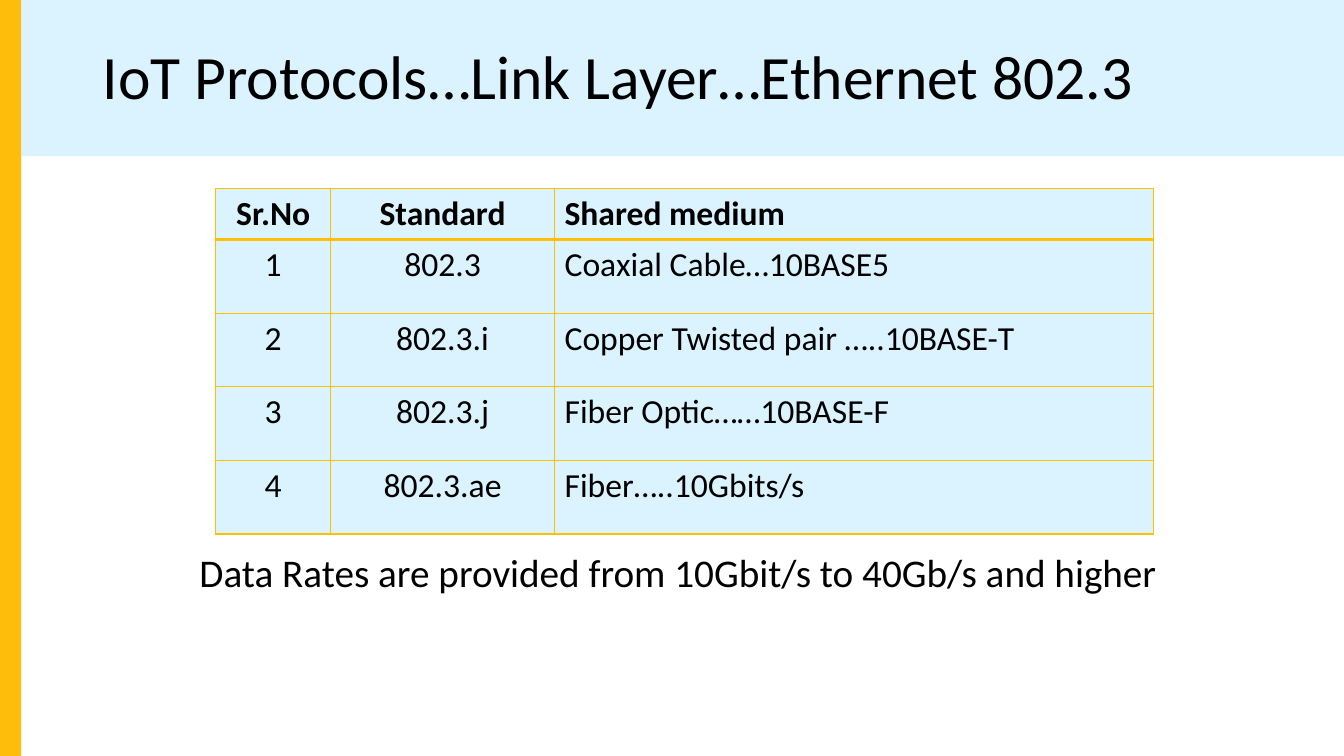
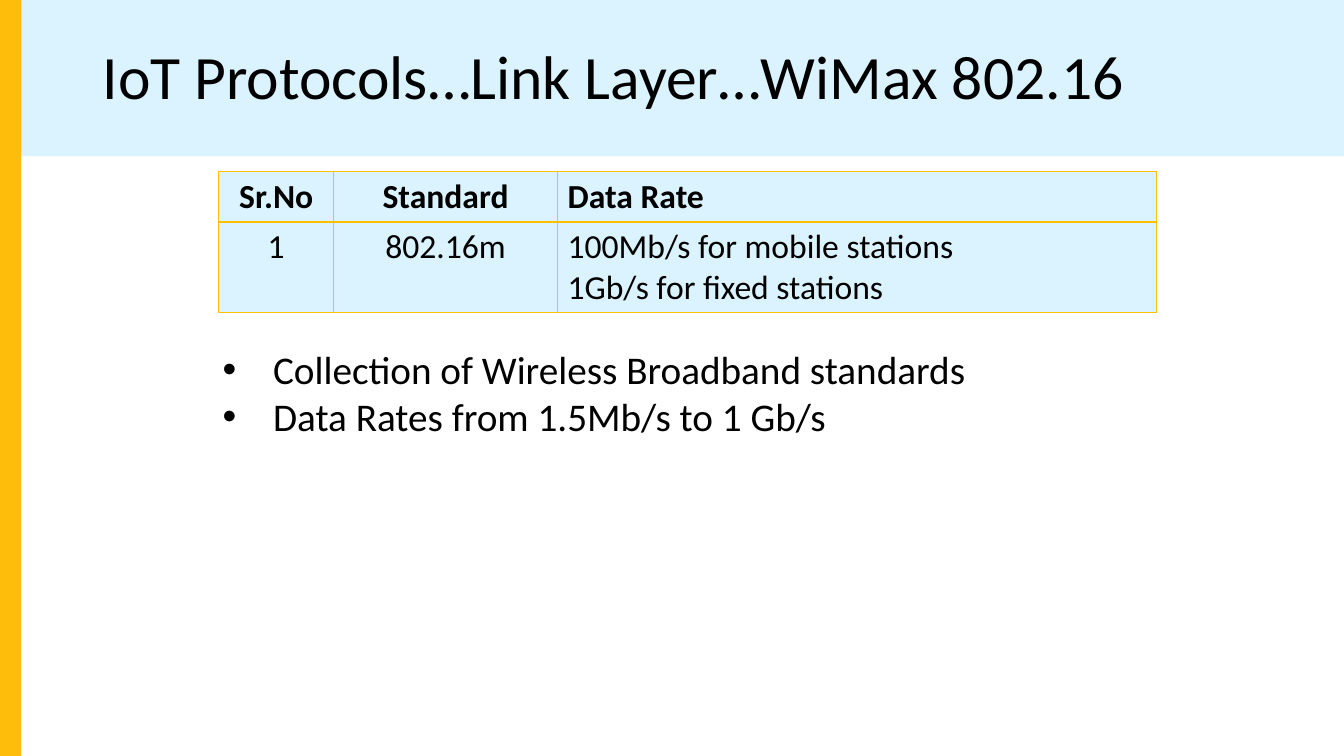
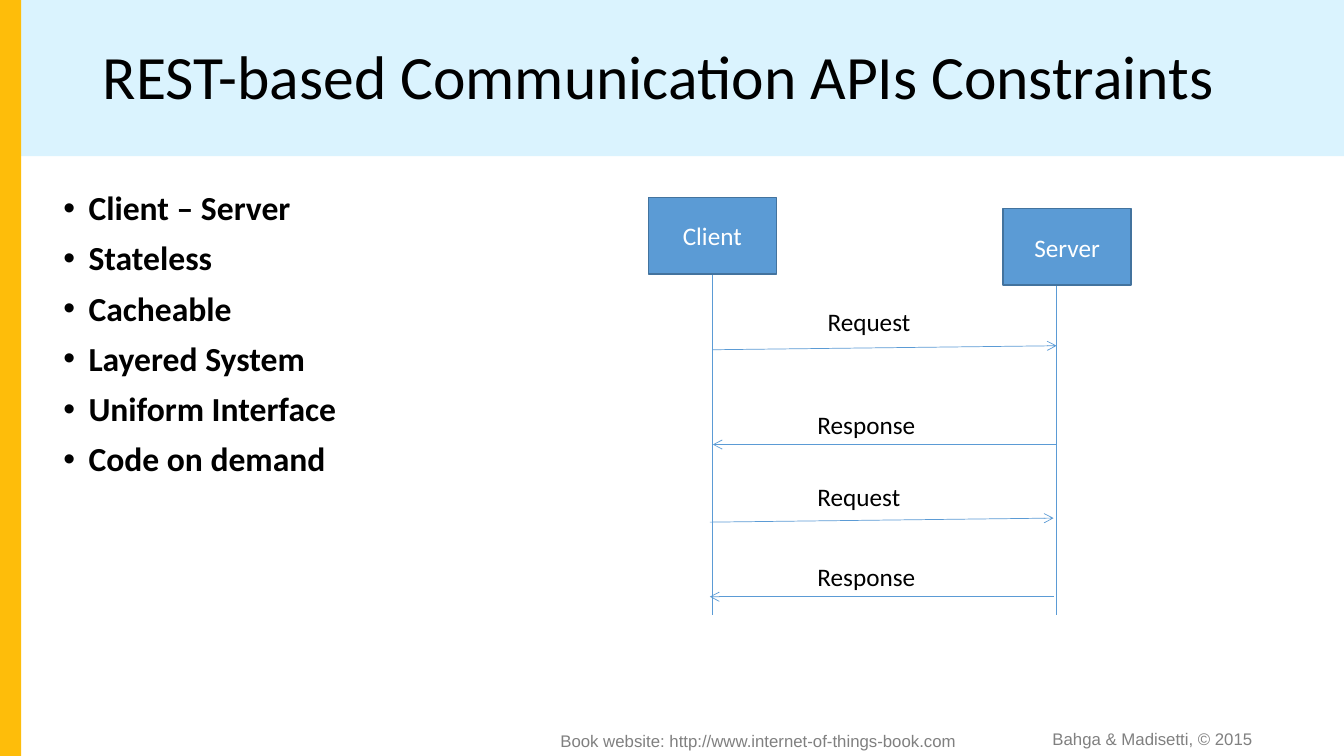
import pptx
import pptx.dml.color
import pptx.enum.shapes
import pptx.enum.text
import pptx.oxml.ns
import pptx.util
from lxml import etree

Inches = pptx.util.Inches
Pt = pptx.util.Pt
qn = pptx.oxml.ns.qn
Align = pptx.enum.text.PP_ALIGN
Anchor = pptx.enum.text.MSO_ANCHOR
Fit = pptx.enum.text.MSO_AUTO_SIZE

COLORS = {
    "band": "DAF3FE",
    "bar": "FEBD0A",
    "border": "FFC000",
    "text": "000000",
    "footer": "808080",
    "box": "5B9BD5",
    "box_line": "43739E",
    "white": "FFFFFF",
}


def color(name):
    return pptx.dml.color.RGBColor.from_string(COLORS[name])


class Deck:
    font = "Calibri"

    def __init__(self):
        self.presentation = pptx.Presentation()
        self.presentation.slide_width = Inches(13.33)
        self.presentation.slide_height = Inches(7.5)
        self.slide = None

    def start_slide(self, title):
        self.slide = self.presentation.slides.add_slide(self.presentation.slide_layouts[6])
        self.box(0, 0, 13.33, 1.55, "band")
        self.box(-0.01, 0, 0.22, 7.5, "bar")
        self.text(0.92, 0.2, 11.5, 1.18, [title], size=44, spacing=0.9,
                  anchor=Anchor.MIDDLE, fit=Fit.NONE)

    def fill_frame(self, frame, lines, size, ink="text", font=None, bold=False,
                   align=Align.LEFT, spacing=None, before=None, indent=None):
        for index, line in enumerate(lines):
            paragraph = frame.add_paragraph() if index else frame.paragraphs[0]
            paragraph.text = line
            paragraph.alignment = align
            paragraph.line_spacing = spacing
            paragraph.space_before = before
            paragraph.font.name = font or self.font
            paragraph.font.size = Pt(size)
            paragraph.font.bold = bold
            paragraph.font.color.rgb = color(ink)
            if indent:
                properties = paragraph._p.get_or_add_pPr()
                properties.set("marL", str(Inches(indent)))
                properties.set("indent", str(-Inches(indent)))
                bullet_font = etree.Element(qn("a:buFont"), typeface="Arial")
                bullet = etree.Element(qn("a:buChar"), char="•")
                properties.find(qn("a:defRPr")).addprevious(bullet_font)
                bullet_font.addnext(bullet)

    def text(self, left, top, width, height, lines, anchor=Anchor.TOP,
             fit=Fit.SHAPE_TO_FIT_TEXT, **style):
        shape = self.slide.shapes.add_textbox(
            Inches(left), Inches(top), Inches(width), Inches(height))
        frame = shape.text_frame
        frame.word_wrap = True
        frame.auto_size = fit
        frame.vertical_anchor = anchor
        self.fill_frame(frame, lines, **style)

    def box(self, left, top, width, height, fill, line=None, label=None):
        shape = self.slide.shapes.add_shape(
            pptx.enum.shapes.MSO_SHAPE.RECTANGLE,
            Inches(left), Inches(top), Inches(width), Inches(height))
        shape.shadow.inherit = False
        shape.fill.solid()
        shape.fill.fore_color.rgb = color(fill)
        if line:
            shape.line.color.rgb = color(line)
            shape.line.width = Pt(1)
        else:
            shape.line.fill.background()
        if label:
            shape.text_frame.vertical_anchor = Anchor.MIDDLE
            self.fill_frame(shape.text_frame, [label], 18, "white", align=Align.CENTER)

    def line(self, start, end, arrow=False):
        connector = self.slide.shapes.add_connector(
            pptx.enum.shapes.MSO_CONNECTOR.STRAIGHT,
            *(Inches(value) for value in (*start, *end)))
        connector.line.color.rgb = color("box")
        connector.line.width = Pt(0.5)
        if arrow:
            etree.SubElement(connector.line._get_or_add_ln(), qn("a:tailEnd"), type="arrow")
        etree.SubElement(connector._element.spPr, qn("a:effectLst"))

    def cell_borders(self, cell, widths):
        properties = cell._tc.get_or_add_tcPr()
        for index, (side, width) in enumerate(widths.items()):
            border = etree.Element(qn(f"a:ln{side}"), w=str(Pt(width)))
            fill = etree.SubElement(border, qn("a:solidFill"))
            etree.SubElement(fill, qn("a:srgbClr"), val=COLORS["border"])
            properties.insert(index, border)

    def table(self, left, top, row_heights, rows):
        widths = (1.14, 2.22, 5.94)
        table = self.slide.shapes.add_table(
            len(rows), len(widths), Inches(left), Inches(top),
            Inches(sum(widths)), Inches(sum(row_heights))).table
        table.first_row = table.horz_banding = False
        for column, width in zip(table.columns, widths):
            column.width = Inches(width)
        for row_index, (height, values) in enumerate(zip(row_heights, rows)):
            table.rows[row_index].height = Inches(height)
            for column_index, value in enumerate(values):
                cell = table.cell(row_index, column_index)
                header = row_index == 0
                self.fill_frame(cell.text_frame, value.split("\n"), 24, bold=header,
                                align=Align.CENTER if column_index < 2 else Align.LEFT)
                cell.fill.solid()
                cell.fill.fore_color.rgb = color("band")
                self.cell_borders(cell, {
                    "L": 1, "R": 1,
                    "T": 2 if row_index == 1 else 1,
                    "B": 2 if header else 1})


def ethernet_slide(deck):
    deck.start_slide("IoT Protocols…Link Layer…Ethernet 802.3")
    deck.table(2.14, 1.87, [0.5] + [0.73] * 4, [
        ("Sr.No", "Standard", "Shared medium"),
        ("1", "802.3", "Coaxial Cable…10BASE5"),
        ("2", "802.3.i", "Copper Twisted pair …..10BASE-T"),
        ("3", "802.3.j", "Fiber Optic……10BASE-F"),
        ("4", "802.3.ae", "Fiber…..10Gbits/s"),
    ])
    deck.text(1.88, 5.39, 9.89, 0.57,
              ["Data Rates are provided from 10Gbit/s to 40Gb/s and higher"], size=28)


def wimax_slide(deck):
    deck.start_slide("IoT Protocols…Link Layer…WiMax 802.16")
    deck.table(2.17, 1.7, [0.5, 0.9], [
        ("Sr.No", "Standard", "Data Rate"),
        ("1", "802.16m", "100Mb/s for mobile stations\n1Gb/s for fixed stations"),
    ])
    deck.text(2.11, 3.38, 9.89, 1.04,
              ["Collection of Wireless Broadband standards",
               "Data Rates from 1.5Mb/s to 1 Gb/s"], size=28, indent=0.5)


def rest_slide(deck):
    deck.start_slide("REST-based Communication APIs Constraints")
    deck.text(0.53, 1.85, 4.74, 4.28,
              ["Client – Server", "Stateless", "Cacheable", "Layered System",
               "Uniform Interface", "Code on demand"],
              fit=Fit.NONE, size=24, bold=True, align=Align.JUSTIFY,
              spacing=0.9, before=Pt(10), indent=0.25)
    for left, top, width, words in (
            (10.34, 7.18, 2.49, "Bahga & Madisetti, © 2015"),
            (5.46, 7.2, 4.5, "Book website: http://www.internet-of-things-book.com")):
        deck.text(left, top, width, 0.3, [words], size=12, ink="footer", font="Arial")

    client, server = 7.07, 10.48
    for lifeline in (client, server):
        deck.line((lifeline, 2.72), (lifeline, 6.1))
    for left, top, label in ((6.43, 1.96, "Client"), (9.95, 2.07, "Server")):
        deck.box(left, top, 1.27, 0.76, "box", "box_line", label)

    for label, label_left, label_top, shift, start, end in (
            ("Request", 8.11, 2.99, 0, 3.47, 3.43),
            ("Response", 8.01, 4.01, 0, 4.41, 4.41),
            ("Request", 8.01, 4.73, -0.03, 5.18, 5.14),
            ("Response", 8.01, 5.52, -0.03, 5.92, 5.92)):
        ends = (client, server) if label == "Request" else (server, client)
        deck.line((ends[0] + shift, start), (ends[1] + shift, end), arrow=True)
        deck.text(label_left, label_top, 1.47, 0.4, [label], size=18)


def main():
    deck = Deck()
    ethernet_slide(deck)
    wimax_slide(deck)
    rest_slide(deck)
    deck.presentation.save("out.pptx")


if __name__ == "__main__":
    main()
